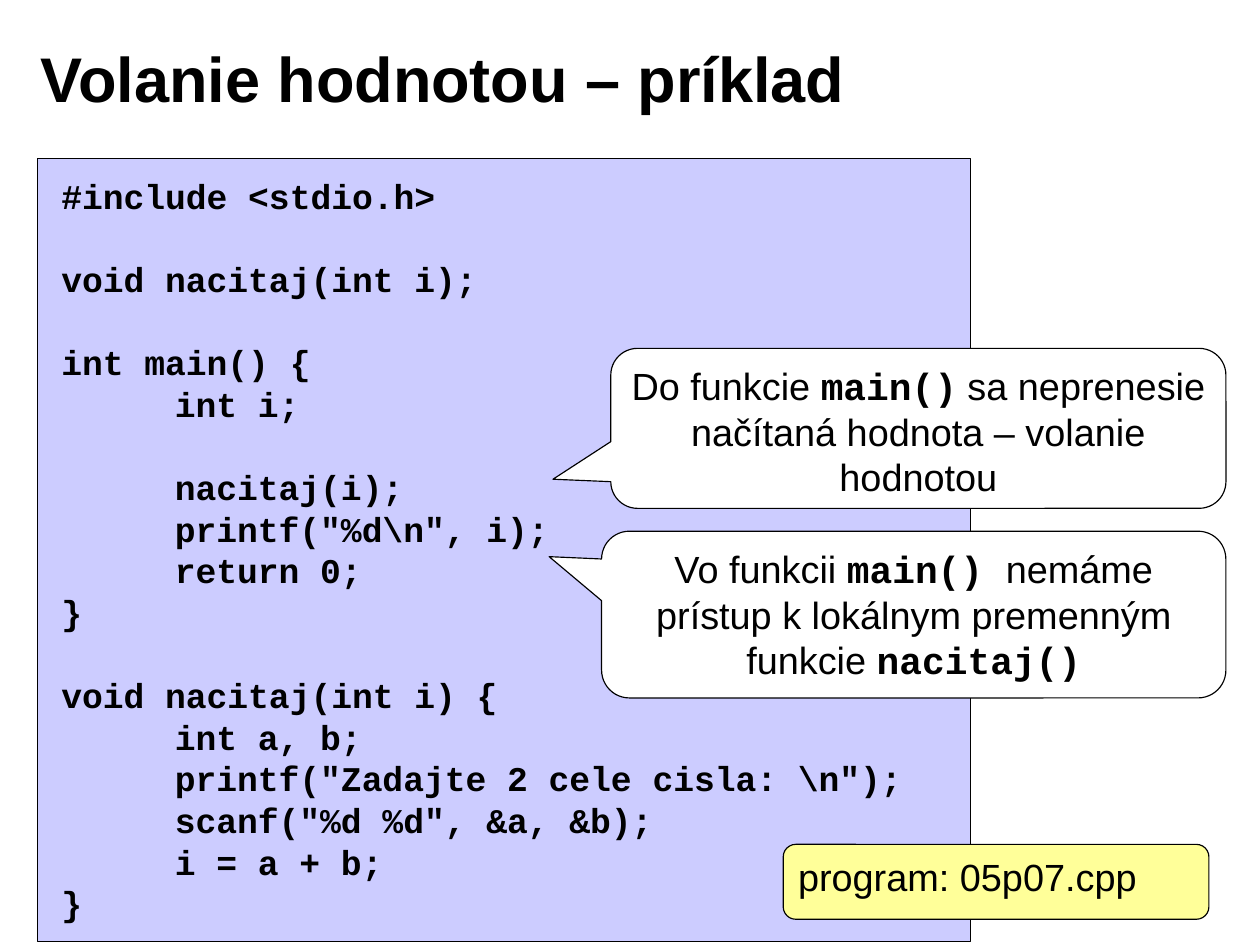
from dataclasses import dataclass

import pptx
import pptx.dml.color
import pptx.enum.shapes
import pptx.enum.text
import pptx.oxml
import pptx.oxml.ns
import pptx.util

Pt = pptx.util.Pt
RGBColor = pptx.dml.color.RGBColor
Shapes = pptx.enum.shapes.MSO_SHAPE
Align = pptx.enum.text.PP_ALIGN
Anchor = pptx.enum.text.MSO_ANCHOR

BLACK = RGBColor(0x00, 0x00, 0x00)
WHITE = RGBColor(0xFF, 0xFF, 0xFF)
LAVENDER = RGBColor(0xCC, 0xCC, 0xFF)
YELLOW = RGBColor(0xFF, 0xFF, 0x99)
TEXT_FONT = "Arial"
CODE_FONT = "Courier New"
WIDE_INSETS = (7.9, 4.3)
NORMAL_INSETS = (7.2, 3.6)

CODE = r"""#include <stdio.h>

void nacitaj(int i);

int main() {
	int i;
	
	nacitaj(i);
	printf("%d\n", i);
	return 0;
}

void nacitaj(int i) {
	int a, b;
	printf("Zadajte 2 cele cisla: \n");
	scanf("%d %d", &a, &b);
	i = a + b;
}"""


@dataclass(frozen=True)
class Segment:
    text: str
    is_code: bool = False


@dataclass(frozen=True)
class Panel:
    kind: pptx.enum.shapes.MSO_SHAPE
    bounds: tuple[float, float, float, float]
    fill: RGBColor
    adjustments: tuple[float, ...] = ()
    segments: tuple[Segment, ...] = ()
    alignment: pptx.enum.text.PP_ALIGN = Align.CENTER
    insets: tuple[float, float] = WIDE_INSETS


CODE_PANEL = Panel(Shapes.RECTANGLE, (23.8, 100.8, 591.8, 496.8), LAVENDER)
NOTES = (
    Panel(Shapes.ROUNDED_RECTANGLE, (496.8, 535.7, 270, 47.5), YELLOW, (0.167,),
          (Segment("program: 05p07.cpp"),), Align.LEFT, NORMAL_INSETS),
    Panel(Shapes.ROUNDED_RECTANGULAR_CALLOUT, (387.4, 221, 390.2, 101.5), WHITE,
          (-0.594, 0.318, 0.167),
          (Segment("Do funkcie "), Segment("main()", True),
           Segment(" sa neprenesie načítaná hodnota – volanie hodnotou"))),
    Panel(Shapes.ROUNDED_RECTANGULAR_CALLOUT, (381.6, 337, 396, 105.8), WHITE,
          (-0.584, -0.347, 0.167),
          (Segment("Vo funkcii "), Segment("main() ", True),
           Segment("nemáme prístup k lokálnym premenným funkcie "),
           Segment("nacitaj()", True))),
)


def format_run(run, size: float, name: str, bold: bool) -> None:
    run.font.size = Pt(size)
    run.font.name = name
    run.font.bold = bold
    run.font.color.rgb = BLACK


def format_frame(frame, insets: tuple[float, float], anchor=Anchor.TOP) -> None:
    frame.word_wrap = True
    frame.auto_size = pptx.enum.text.MSO_AUTO_SIZE.NONE
    frame.vertical_anchor = anchor
    frame.margin_left = frame.margin_right = Pt(insets[0])
    frame.margin_top = frame.margin_bottom = Pt(insets[1])


def add_title(slide) -> None:
    title = slide.shapes.title
    title.left, title.top, title.width, title.height = map(Pt, (18, 12.2, 641.5, 73.4))
    format_frame(title.text_frame, WIDE_INSETS, Anchor.MIDDLE)
    title.text_frame.text = "Volanie hodnotou – príklad"
    paragraph = title.text_frame.paragraphs[0]
    paragraph.alignment = Align.LEFT
    format_run(paragraph.runs[0], 40, TEXT_FONT, True)


def add_panel(slide, panel: Panel) -> None:
    shape = slide.shapes.add_shape(panel.kind, *map(Pt, panel.bounds))
    shape.shadow.inherit = False
    shape.fill.solid()
    shape.fill.fore_color.rgb = panel.fill
    shape.line.color.rgb = BLACK
    shape.line.width = Pt(0.75)
    for index, value in enumerate(panel.adjustments):
        shape.adjustments[index] = value
    if not panel.segments:
        return
    format_frame(shape.text_frame, panel.insets)
    paragraph = shape.text_frame.paragraphs[0]
    paragraph.alignment = panel.alignment
    paragraph.line_spacing = Pt(28.8)
    for segment in panel.segments:
        run = paragraph.add_run()
        run.text = segment.text
        format_run(run, 24, CODE_FONT if segment.is_code else TEXT_FONT, segment.is_code)


def add_tab_stop(paragraph, position: float) -> None:
    tabs = pptx.oxml.parse_xml(
        f'<a:tabLst {pptx.oxml.ns.nsdecls("a")}>'
        f'<a:tab pos="{int(Pt(position))}" algn="l"/></a:tabLst>')
    paragraph._p.get_or_add_pPr().append(tabs)


def add_code(slide) -> None:
    box = slide.shapes.add_textbox(*map(Pt, (31, 106.6, 557.3, 488.2)))
    format_frame(box.text_frame, WIDE_INSETS)
    box.text_frame.text = CODE
    for paragraph in box.text_frame.paragraphs:
        add_tab_stop(paragraph, 72)
        paragraph.line_spacing = Pt(26.4)
        for run in paragraph.runs:
            format_run(run, 22, CODE_FONT, True)


def main() -> None:
    presentation = pptx.Presentation()
    presentation.slide_width = Pt(799.2)
    presentation.slide_height = Pt(597.6)
    slide = presentation.slides.add_slide(presentation.slide_layouts.get_by_name("Title Only"))
    add_title(slide)
    add_panel(slide, CODE_PANEL)
    add_code(slide)
    for note in NOTES:
        add_panel(slide, note)
    presentation.save("out.pptx")


if __name__ == "__main__":
    main()
